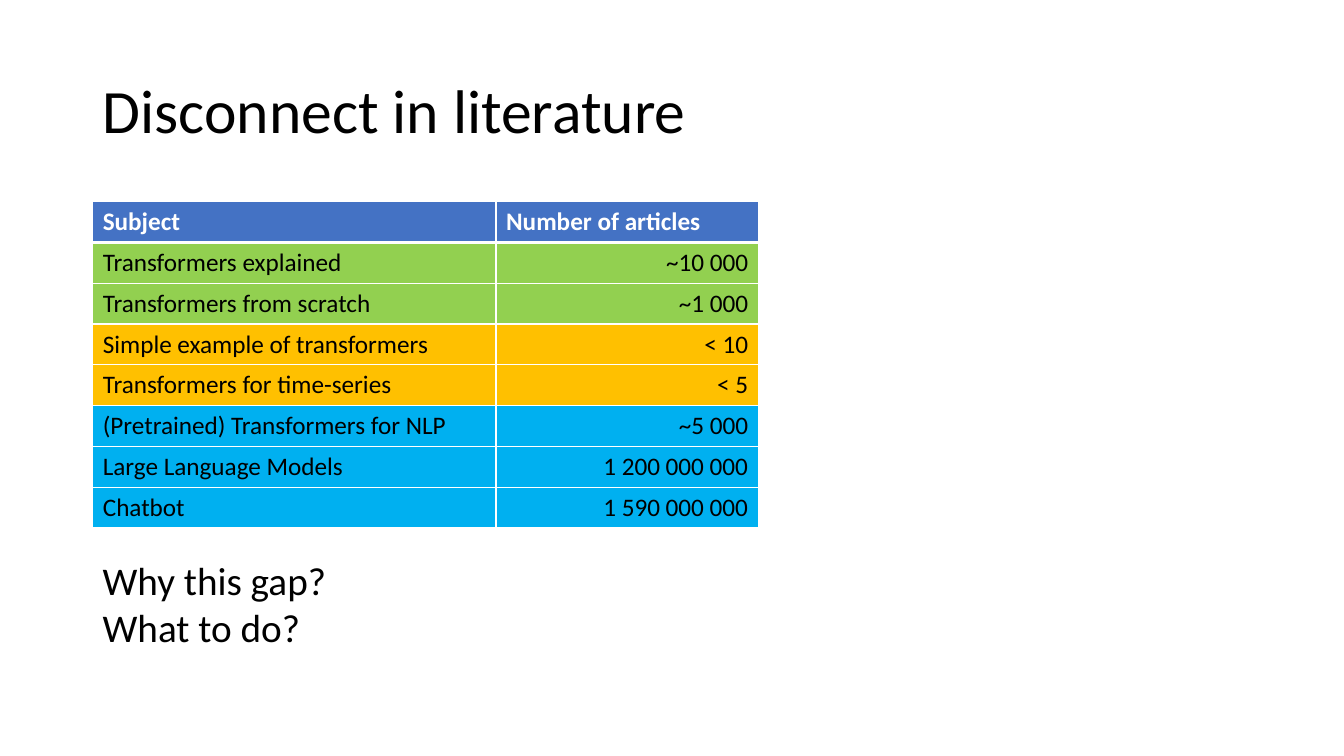
from lxml import etree
from pptx import Presentation
from pptx import util as u
from pptx.dml.color import RGBColor
from pptx.enum import text
from pptx.oxml import ns

PX = 9144  # EMU per px, 100 px to the inch
FONT = "Calibri"
BLACK = RGBColor(0x00, 0x00, 0x00)
WHITE = RGBColor(0xFF, 0xFF, 0xFF)
BLUE = RGBColor(0x44, 0x72, 0xC4)
GREEN = RGBColor(0x92, 0xD0, 0x50)
AMBER = RGBColor(0xFF, 0xC0, 0x00)
SKY = RGBColor(0x00, 0xB0, 0xF0)

THIN, THICK = 0.96, 3
COLUMNS = [400, 260]
ROWS = [
    ("Subject", "Number of articles", BLUE),
    ("Transformers explained", "~10 000", GREEN),
    ("Transformers from scratch", "~1 000", GREEN),
    ("Simple example of transformers", "< 10", AMBER),
    ("Transformers for time-series", "< 5", AMBER),
    ("(Pretrained) Transformers for NLP", "~5 000", SKY),
    ("Large Language Models", "1 200 000 000", SKY),
    ("Chatbot", "1 590 000 000", SKY),
]


def px(*lengths):
    return [u.Emu(length * PX) for length in lengths]


def write(para, words, size, color=BLACK, bold=False):
    para.text = words
    for span in para.runs:
        for name, value in {"name": FONT, "size": u.Pt(size), "bold": bold}.items():
            setattr(span.font, name, value)
        span.font.color.rgb = color


def add_text(page, box, words, size, anchor=text.MSO_ANCHOR.TOP, spacing=None):
    frame = page.shapes.add_textbox(*px(*box)).text_frame
    for name, value in {"word_wrap": True, "vertical_anchor": anchor}.items():
        setattr(frame, name, value)
    para = frame.paragraphs[0]
    write(para, words, size)
    para.line_spacing = spacing


def add_borders(cell, widths):
    """Draw white borders; widths are points for left, right, top and bottom."""
    props = cell._tc.get_or_add_tcPr()
    for place, (side, width) in enumerate(zip("LRTB", widths)):
        line = etree.Element(ns.qn(f"a:ln{side}"), w=str(u.Pt(width)))
        fill = etree.SubElement(line, ns.qn("a:solidFill"))
        etree.SubElement(fill, ns.qn("a:srgbClr"), val=str(WHITE))
        props.insert(place, line)


def add_article_table(page, box):
    table = page.shapes.add_table(len(ROWS), len(COLUMNS), *px(*box)).table
    for column, width in zip(table.columns, px(*COLUMNS)):
        column.width = width
    for r, (subject, count, color) in enumerate(ROWS):
        header = r == 0
        for c, words in enumerate((subject, count)):
            cell = table.cell(r, c)
            cell.fill.solid()
            cell.fill.fore_color.rgb = color
            para = cell.text_frame.paragraphs[0]
            write(para, words, 18, WHITE if header else BLACK, header)
            if c == 1 and not header:
                para.alignment = text.PP_ALIGN.RIGHT
            # The rule under the header is shared with the first body row
            add_borders(cell, (THIN, THIN, THICK if r == 1 else THIN,
                               THICK if header else THIN))


def build_slide(page):
    # Title
    add_text(page, (92, 40, 1150, 145), "Disconnect in literature", 44,
             text.MSO_ANCHOR.MIDDLE, 0.9)
    # Article counts
    add_article_table(page, (92, 200, sum(COLUMNS), 324))
    # Closing questions
    add_text(page, (92, 547, 300, 103), "Why this gap?\vWhat to do?", 28)


def main():
    deck = Presentation()
    deck.slide_width, deck.slide_height = px(1333, 750)
    build_slide(deck.slides.add_slide(deck.slide_layouts[6]))
    deck.save("out.pptx")


if __name__ == "__main__":
    main()
